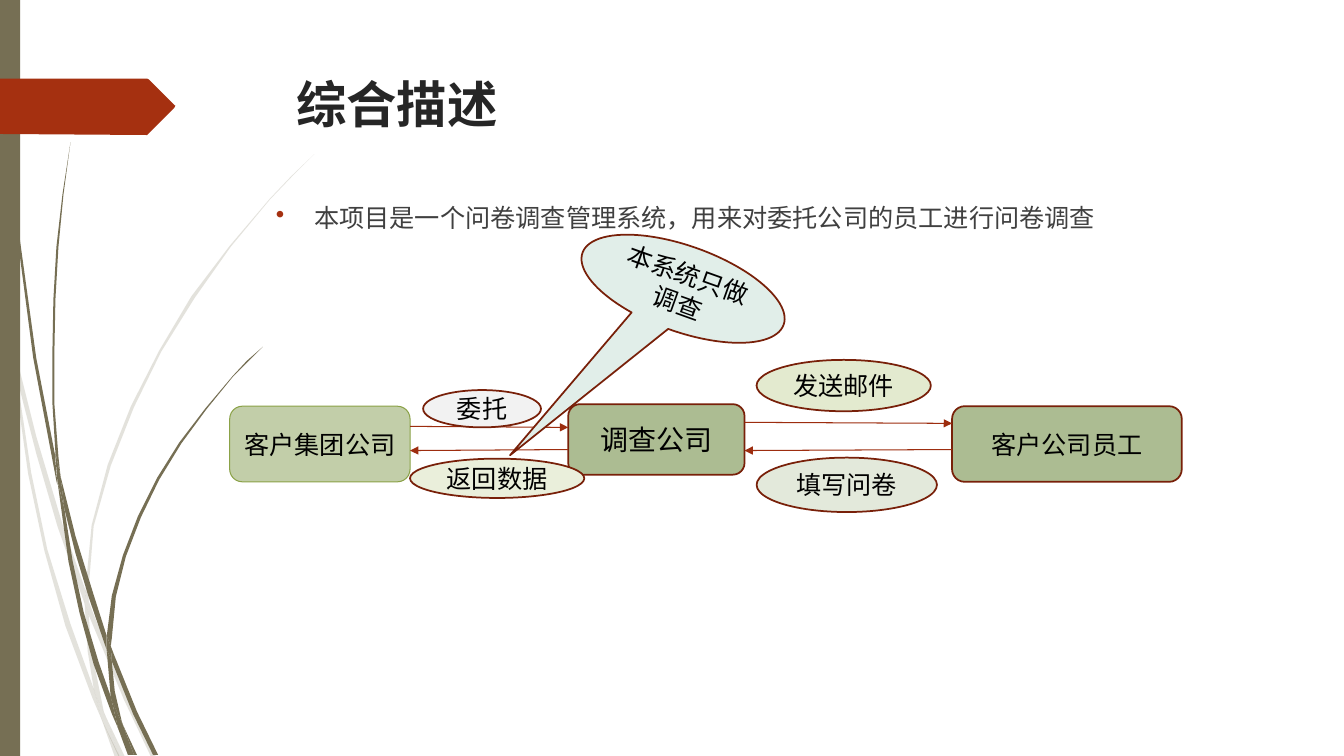
from lxml import etree
from pptx import Presentation
from pptx.dml.color import RGBColor
from pptx.enum.shapes import MSO_CONNECTOR, MSO_SHAPE
from pptx.enum.text import MSO_ANCHOR, PP_ALIGN
from pptx.oxml.ns import qn
from pptx.util import Pt

PX = 9144  # EMU per px, 100 px to the inch
FONT = "TeX Gyre Adventor"
RECT, ROUND, OVAL = MSO_SHAPE.RECTANGLE, MSO_SHAPE.ROUNDED_RECTANGLE, MSO_SHAPE.OVAL
CALLOUT = MSO_SHAPE.OVAL_CALLOUT
STRAIGHT = MSO_CONNECTOR.STRAIGHT
MIDDLE, TOP, CENTER = MSO_ANCHOR.MIDDLE, MSO_ANCHOR.TOP, PP_ALIGN.CENTER

COLORS = {
    "stalk": "766F54", "tag": "A53010", "title": "262626", "body": "404040",
    "text": "000000", "outline": "782009", "arrow": "9D2D0F",
    "client": "C2CEA9", "client_line": "8BA248", "company": "ACBC92",
    "entrust": "F2F2F2", "send": "E3EACF", "fill_in": "E3E9DB",
    "return": "EAEFDB", "note": "E1EEE9",
}

# Outlines of the grass blades: x, y pairs in px
PALE_STALKS = [
    (11, 350, 8, 322, 0, 282, 0, 299, 10, 344),
    (57, 522, 84, 599, 85, 586, 62, 520, 36, 433, 14, 345, 17, 376, 36, 450),
    (92, 607, 88, 596, 88, 610, 123, 694, 150, 751, 155, 751, 127, 692),
    (119, 751, 124, 751, 105, 711),
    (93, 683, 70, 619, 47, 545, 31, 469, 17, 376, 11, 350, 28, 470, 44, 546,
     65, 621, 92, 693, 101, 714, 99, 707),
    (84, 599, 87, 646, 93, 683, 96, 692, 105, 711, 103, 706, 91, 646, 88, 610, 88, 608),
    (88, 584, 93, 522, 110, 462, 133, 404, 160, 349, 193, 296, 229, 245, 268, 198,
     290, 175, 312, 153, 289, 175, 268, 197, 228, 244, 190, 294, 158, 348, 130, 403,
     107, 461, 91, 521, 85, 584, 85, 586, 88, 596),
    (101, 714, 114, 751, 119, 751),
    (88, 608, 88, 610, 88, 596, 85, 586, 84, 599),
    (96, 692, 93, 683, 99, 707, 101, 714, 118, 751, 119, 751, 105, 711),
]
DARK_STALKS = [
    (7, 110, 17, 233, 33, 355, 56, 477, 57, 481, 55, 457, 55, 453, 36, 355, 19, 232,
     8, 109, 5, 48, 3, 0, 3, 48),
    (88, 592, 106, 645, 106, 633, 106, 631, 93, 590, 75, 532, 60, 472, 64, 505, 75, 549),
    (113, 649, 110, 641, 111, 656, 132, 708, 152, 749, 157, 749, 136, 706),
    (110, 691, 98, 657, 83, 607, 72, 556, 64, 505, 57, 477, 68, 557, 79, 608, 93, 659,
     111, 708, 117, 722, 116, 717),
    (60, 472, 58, 453, 54, 401, 54, 349, 55, 297, 58, 245, 63, 193, 70, 141, 62, 193,
     56, 245, 53, 297, 52, 349, 52, 400, 55, 449),
    (133, 749, 136, 749, 122, 719),
    (57, 477, 64, 505, 60, 472, 55, 449, 55, 453),
    (111, 633, 115, 592, 125, 552, 140, 513, 158, 476, 180, 440, 205, 406, 231, 374,
     246, 359, 261, 344, 245, 358, 231, 373, 204, 405, 178, 439, 156, 474, 137, 512,
     122, 551, 111, 591, 106, 631, 110, 641),
    (117, 722, 127, 749, 131, 749),
    (106, 645, 110, 692, 116, 706, 122, 719, 121, 716, 114, 686, 111, 656, 109, 651),
    (106, 645, 109, 651, 111, 656, 110, 641, 106, 631, 106, 633),
    (116, 706, 110, 691, 116, 717, 117, 722, 130, 749, 133, 749, 122, 719),
]
TAG = (173, 107, 148, 132, 146, 134, 0, 133, 0, 78, 146, 78, 148, 79, 173, 104, 174, 105)


def rgb(name):
    return RGBColor.from_string(COLORS[name])


def paint(sp, fill, line=None, width=1.25):
    sp.shadow.inherit = False
    sp.fill.solid()
    sp.fill.fore_color.rgb = rgb(fill)
    if line:
        sp.line.color.rgb = rgb(line)
        sp.line.width = Pt(width)
    else:
        sp.line.fill.background()


def write(sp, text, size, color, anchor=MIDDLE):
    tf = sp.text_frame
    tf.word_wrap = True
    tf.vertical_anchor = anchor
    p = tf.paragraphs[0]
    p.text = text
    p.font.size, p.font.name = Pt(size), FONT
    p.font.color.rgb = rgb(color)
    return p


def add_outline(shapes, box, points, fill):
    x, y = box
    pairs = [(x + px, y + py) for px, py in zip(points[::2], points[1::2])]
    fb = shapes.build_freeform(*pairs[0], scale=PX)
    fb.add_line_segments(pairs[1:], close=True)
    sp = fb.convert_to_shape()
    paint(sp, fill)
    return sp


def add_sidebar(s, box):
    x, y = box
    # Grass blades, the pale ones at 20% opacity
    for stalks, opacity in ((PALE_STALKS, 20), (DARK_STALKS, 100)):
        group = s.shapes.add_group_shape()
        for points in stalks:
            sp = add_outline(group.shapes, box, points, "stalk")
            if opacity < 100:
                clr = sp._element.spPr.find(qn("a:solidFill"))[0]
                etree.SubElement(clr, qn("a:alpha"), val=str(opacity * 1000))
    # Edge bar and tag
    paint(s.shapes.add_shape(RECT, x * PX, y * PX, 20 * PX, 750 * PX), "stalk")
    add_outline(s.shapes, box, TAG, "tag")


def add_text_area(s, box):
    x, y = box
    # Title
    sp = s.shapes.add_textbox((x + 20) * PX, y * PX, 975 * PX, 140 * PX)
    write(sp, "综合描述", 36, "title", TOP).font.bold = True
    # Bulleted sentence
    sp = s.shapes.add_textbox(x * PX, (y + 128) * PX, 975 * PX, 413 * PX)
    p = write(sp, "本项目是一个问卷调查管理系统，用来对委托公司的员工进行问卷调查", 18, "body", TOP)
    p.space_before = Pt(10)
    pPr = p._p.get_or_add_pPr()
    pPr.set("marL", str(38 * PX))
    pPr.set("indent", str(-38 * PX))
    bullet_color = etree.Element(qn("a:buClr"))
    etree.SubElement(bullet_color, qn("a:srgbClr"), val=COLORS["tag"])
    bullet = etree.Element(qn("a:buChar"), char="•")
    pPr.find(qn("a:spcBef")).addnext(bullet_color)
    bullet_color.addnext(bullet)


def add_node(s, box, kind, rect, text, fill, size=18, line="outline", width=1.25):
    x, y = box
    left, top, w, h = rect
    sp = s.shapes.add_shape(kind, (x + left) * PX, (y + top) * PX, w * PX, h * PX)
    paint(sp, fill, line, width)
    write(sp, text, size, "text").alignment = CENTER
    return sp


def add_arrow(s, box, x1, y1, x2, y2):
    x, y = box
    c = s.shapes.add_connector(STRAIGHT, (x + x1) * PX, (y + y1) * PX,
                               (x + x2) * PX, (y + y2) * PX)
    c.line.color.rgb = rgb("arrow")
    c.line.width = Pt(0.75)
    etree.SubElement(c.line._get_or_add_ln(), qn("a:tailEnd"), type="triangle")
    etree.SubElement(c._element.spPr, qn("a:effectLst"))


def add_diagram(s, box):
    # Parties
    add_node(s, box, ROUND, (0, 159, 179, 75), "客户集团公司", "client",
             line="client_line", width=0.75)
    add_node(s, box, ROUND, (336, 157, 175, 70), "调查公司", "company", size=20)
    add_node(s, box, ROUND, (717, 159, 228, 75), "客户公司员工", "company")
    # Arrows out and back
    for ends in ((179, 179, 336, 180), (511, 175, 717, 176),
                 (717, 202, 511, 203), (336, 202, 179, 203)):
        add_arrow(s, box, *ends)
    # Arrow labels
    for rect, text, fill in (
        ((192, 143, 117, 37), "委托", "entrust"),
        ((523, 113, 173, 51), "发送邮件", "send"),
        ((523, 210, 179, 54), "填写问卷", "fill_in"),
        ((179, 211, 173, 39), "返回数据", "return"),
    ):
        add_node(s, box, OVAL, rect, text, fill)
    # Callout
    sp = add_node(s, box, CALLOUT, (344, 0, 212, 85), "本系统只做调查", "note")
    sp.rotation = 19.7
    sp.adjustments[0], sp.adjustments[1] = -0.5, 2.51


def main():
    prs = Presentation()
    prs.slide_width, prs.slide_height = 1334 * PX, 750 * PX
    s = prs.slides.add_slide(prs.slide_layouts[6])
    add_sidebar(s, (0, 0))
    add_text_area(s, (264, 68))
    add_diagram(s, (228, 244))
    prs.save("out.pptx")


if __name__ == "__main__":
    main()
